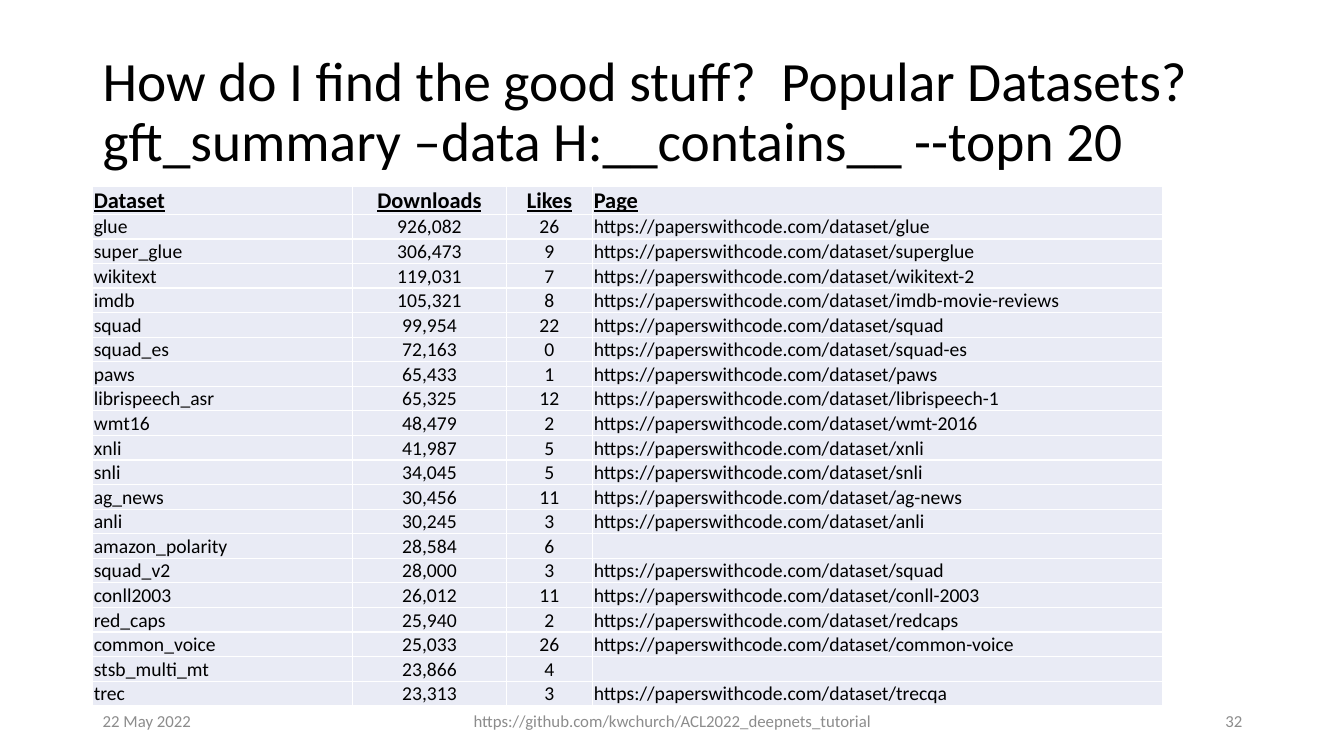
from lxml import etree
from pptx import Presentation
from pptx import util as u
from pptx.dml.color import RGBColor
from pptx.enum import text
from pptx.oxml.ns import qn

PX = 9144
THEME = {
    "font": "Calibri",
    "ink": "000000", "gray": "8C8C8C", "cell": "E9EBF5", "rule": "FFFFFF",
    "title": 39.6, "head": 16, "body": 14, "foot": 12,
}
LEFT, MID, RIGHT = text.PP_ALIGN.LEFT, text.PP_ALIGN.CENTER, text.PP_ALIGN.RIGHT
SITE = "https://paperswithcode.com/dataset/"
DATA = [
    ("glue", "926,082", 26, "glue"),
    ("super_glue", "306,473", 9, "superglue"),
    ("wikitext", "119,031", 7, "wikitext-2"),
    ("imdb", "105,321", 8, "imdb-movie-reviews"),
    ("squad", "99,954", 22, "squad"),
    ("squad_es", "72,163", 0, "squad-es"),
    ("paws", "65,433", 1, "paws"),
    ("librispeech_asr", "65,325", 12, "librispeech-1"),
    ("wmt16", "48,479", 2, "wmt-2016"),
    ("xnli", "41,987", 5, "xnli"),
    ("snli", "34,045", 5, "snli"),
    ("ag_news", "30,456", 11, "ag-news"),
    ("anli", "30,245", 3, "anli"),
    ("amazon_polarity", "28,584", 6, ""),
    ("squad_v2", "28,000", 3, "squad"),
    ("conll2003", "26,012", 11, "conll-2003"),
    ("red_caps", "25,940", 2, "redcaps"),
    ("common_voice", "25,033", 26, "common-voice"),
    ("stsb_multi_mt", "23,866", 4, ""),
    ("trec", "23,313", 3, "trecqa"),
]


def style(para, size, color, align):
    para.alignment = align
    para.font.name = THEME["font"]
    para.font.size = u.Pt(THEME[size])
    para.font.color.rgb = RGBColor.from_string(THEME[color])


def label(words, box, size, color, align):
    frame = slide.shapes.add_textbox(*(n * PX for n in box)).text_frame
    frame.word_wrap = True
    frame.vertical_anchor = text.MSO_ANCHOR.MIDDLE
    para = frame.paragraphs[0]
    para.text = words
    style(para, size, color, align)
    return para


deck = Presentation()
deck.slide_width, deck.slide_height = 1333 * PX, 750 * PX
slide = deck.slides.add_slide(deck.slide_layouts[6])

title = label(
    "How do I find the good stuff?  Popular Datasets?\vgft_summary –data H:__contains__ --topn 20",
    (92, 40, 1150, 145), "title", "ink", LEFT)
title.line_spacing = 0.9

rows = [("Dataset", "Downloads", "Likes", "Page")]
rows += [(name, loads, str(likes), SITE + page if page else "") for name, loads, likes, page in DATA]
frame = slide.shapes.add_table(len(rows), 4, 92 * PX, 185 * PX, 1061 * PX, 515 * PX)
table = frame.table
table.horz_banding = False
for col, width in zip(table.columns, (258, 152, 86, 565)):
    col.width = width * PX

for r, row in enumerate(rows):
    head = r == 0
    table.rows[r].height = (17 if head else 19) * PX
    for c, words in enumerate(row):
        cell = table.cell(r, c)
        cell.margin_left = cell.margin_right = cell.margin_top = PX
        cell.margin_bottom = 0
        cell.vertical_anchor = text.MSO_ANCHOR.BOTTOM
        para = cell.text_frame.paragraphs[0]
        para.text = words
        size = "head" if head else "body"
        style(para, size, "ink", MID if c in (1, 2) else LEFT)
        para.font.bold = para.font.underline = head
        if not words:
            etree.SubElement(para._p, qn("a:endParaRPr"), sz=str(THEME[size] * 100))
        props = cell._tc.get_or_add_tcPr()
        for side in "LRTB":
            line = etree.SubElement(props, qn("a:ln" + side), w=str(u.Pt(1)))
            paint = etree.SubElement(line, qn("a:solidFill"))
            etree.SubElement(paint, qn("a:srgbClr"), val=THEME["rule"])
        cell.fill.solid()
        cell.fill.fore_color.rgb = RGBColor.from_string(THEME["cell"])
frame.height = 515 * PX

for words, left, width, align in (
    ("22 May 2022", 92, 300, LEFT),
    ("https://github.com/kwchurch/ACL2022_deepnets_tutorial", 442, 450, MID),
    ("32", 942, 300, RIGHT),
):
    label(words, (left, 695, width, 40), "foot", "gray", align)

deck.save("out.pptx")
